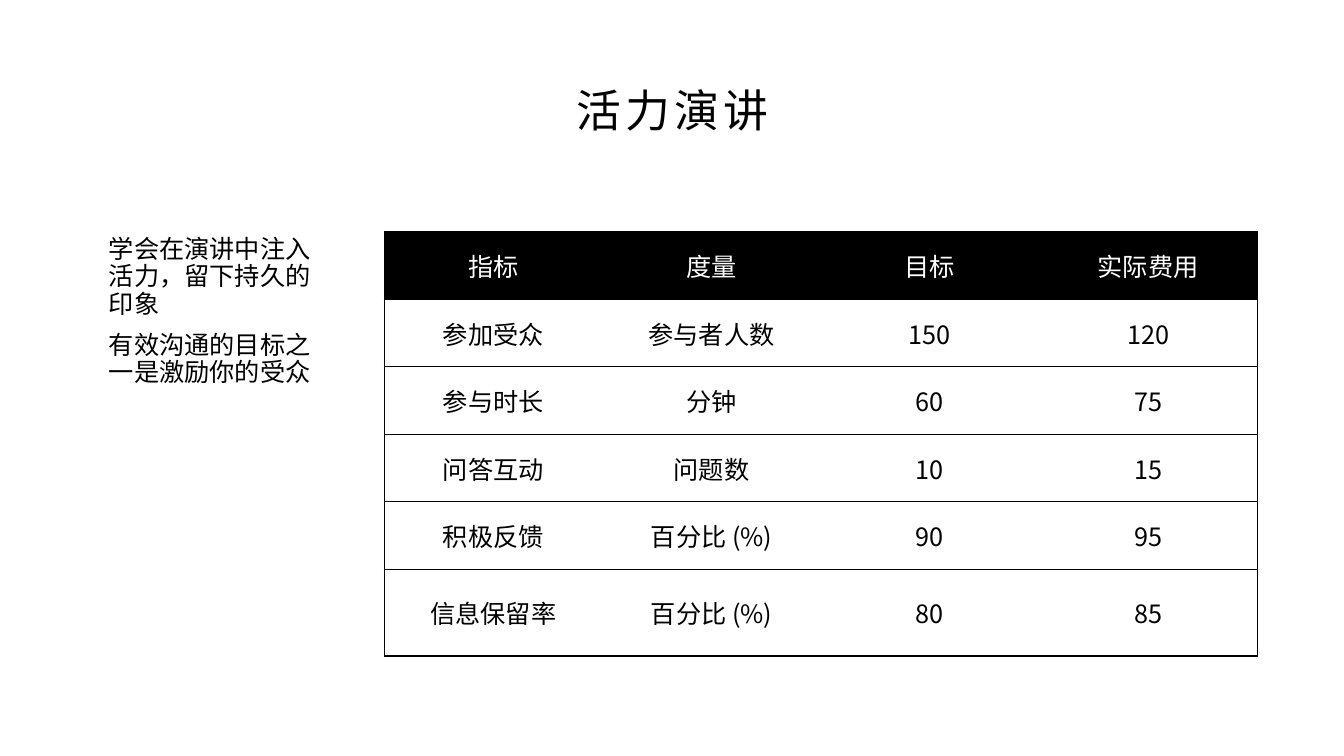
from dataclasses import dataclass

from lxml import etree
from pptx import Presentation
from pptx.dml.color import RGBColor
from pptx.enum.text import MSO_ANCHOR, MSO_AUTO_SIZE, PP_ALIGN
from pptx.oxml.ns import qn
from pptx.util import Inches, Pt

CENTER, LEFT = PP_ALIGN.CENTER, PP_ALIGN.LEFT
TOP, MIDDLE = MSO_ANCHOR.TOP, MSO_ANCHOR.MIDDLE
NO_AUTOFIT = MSO_AUTO_SIZE.NONE


@dataclass(frozen=True)
class Theme:
    ink: str = "000000"
    paper: str = "FFFFFF"
    heading_font: str = "Noto Sans CJK SC"
    body_font: str = "Calibri"
    title_size: int = 32
    text_size: int = 18
    title_tracking: int = 3
    border_width: int = 1


def write_paragraph(para, text, *, font, size, color, align=LEFT,
                    line_spacing=None, space_before=0, tracking=0):
    properties = para._p.get_or_add_pPr()
    properties.set("marL", "0")
    properties.set("indent", "0")
    etree.SubElement(properties, qn("a:buNone"))
    para.alignment = align
    para.line_spacing = line_spacing
    para.space_before = Pt(space_before)
    span = para.add_run()
    span.text = text
    span.font.name = font
    span.font.size = Pt(size)
    span.font.color.rgb = RGBColor.from_string(color)
    span_properties = span.font._element
    etree.SubElement(span_properties, qn("a:ea")).set("typeface", font)
    if tracking:
        span_properties.set("spc", str(tracking * 100))


class SlideBuilder:
    def __init__(self, deck, theme):
        self.theme = theme
        self.page = deck.slides.add_slide(deck.slide_layouts[1])
        fill = self.page.background.fill
        fill.solid()
        fill.fore_color.rgb = RGBColor.from_string(theme.paper)

    def fill_placeholder(self, box, area, anchor, texts, space_between=0, **style):
        box.left, box.top, box.width, box.height = map(Inches, area)
        frame = box.text_frame
        frame.word_wrap = True
        frame.auto_size = NO_AUTOFIT
        frame.vertical_anchor = anchor
        for index, text in enumerate(texts):
            para = frame.add_paragraph() if index else frame.paragraphs[0]
            write_paragraph(para, text, color=self.theme.ink, line_spacing=0.9,
                            space_before=space_between if index else 0, **style)

    def title(self, text, area):
        theme = self.theme
        self.fill_placeholder(self.page.shapes.title, area, MIDDLE, [text],
                              font=theme.heading_font, size=theme.title_size,
                              align=CENTER, tracking=theme.title_tracking)

    def body(self, texts, area):
        theme = self.theme
        self.fill_placeholder(self.page.placeholders[1], area, TOP, texts,
                              space_between=10, font=theme.body_font,
                              size=theme.text_size)

    def border(self, cell, side, visible):
        line = etree.SubElement(cell._tc.get_or_add_tcPr(), qn(f"a:ln{side}"))
        if not visible:
            etree.SubElement(line, qn("a:noFill"))
            return
        line.set("w", str(Pt(self.theme.border_width)))
        fill = etree.SubElement(line, qn("a:solidFill"))
        etree.SubElement(fill, qn("a:srgbClr")).set("val", self.theme.ink)

    def table(self, rows, area, row_heights):
        theme = self.theme
        column_count = len(rows[0])
        table = self.page.shapes.add_table(
            len(rows), column_count, *map(Inches, area)).table
        table.horz_banding = False
        for column in table.columns:
            column.width = Inches(area[2] / column_count)
        for row, height in zip(table.rows, row_heights):
            row.height = Inches(height)
        for row_index, texts in enumerate(rows):
            is_header = row_index == 0
            for column_index, text in enumerate(texts):
                cell = table.cell(row_index, column_index)
                cell.vertical_anchor = MIDDLE
                self.border(cell, "L", column_index == 0)
                self.border(cell, "R", column_index == column_count - 1)
                self.border(cell, "T", True)
                self.border(cell, "B", True)
                cell.fill.solid()
                cell.fill.fore_color.rgb = RGBColor.from_string(
                    theme.ink if is_header else theme.paper)
                write_paragraph(cell.text_frame.paragraphs[0], text,
                                font=theme.heading_font, size=theme.text_size,
                                color=theme.paper if is_header else theme.ink,
                                align=CENTER)


def main():
    deck = Presentation()
    deck.slide_width, deck.slide_height = Inches(13.33), Inches(7.5)
    builder = SlideBuilder(deck, Theme())
    builder.title("活力演讲", (0.92, 0.4, 11.5, 1.45))
    builder.body(["学会在演讲中注入活力，留下持久的印象",
                  "有效沟通的目标之一是激励你的受众"],
                 (0.98, 2.3, 2.26, 3.97))
    metrics = [
        ("指标", "度量", "目标", "实际费用"),
        ("参加受众", "参与者人数", "150", "120"),
        ("参与时长", "分钟", "60", "75"),
        ("问答互动", "问题数", "10", "15"),
        ("积极反馈", "百分比 (%)", "90", "95"),
        ("信息保留率", "百分比 (%)", "80", "85"),
    ]
    builder.table(metrics, (3.81, 2.3, 8.66, 4.2), [0.67] * 5 + [0.86])
    deck.save("out.pptx")


if __name__ == "__main__":
    main()
